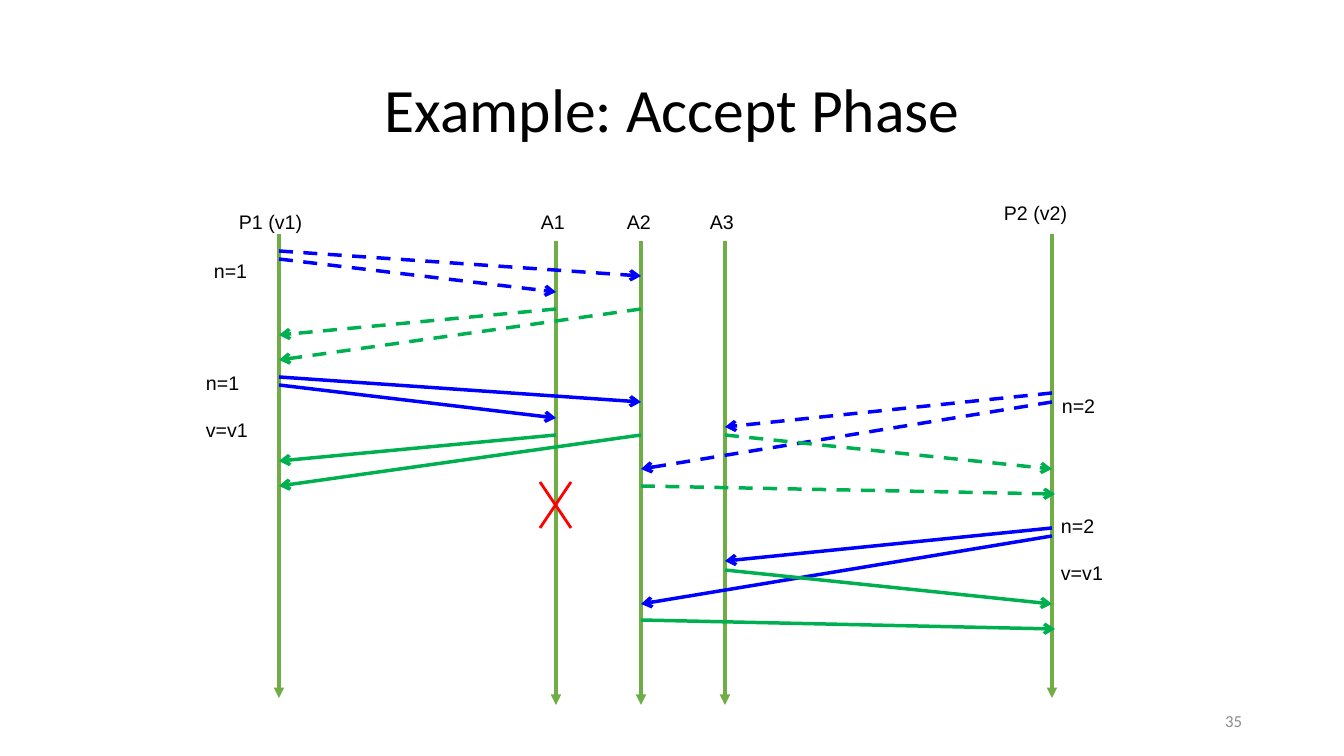
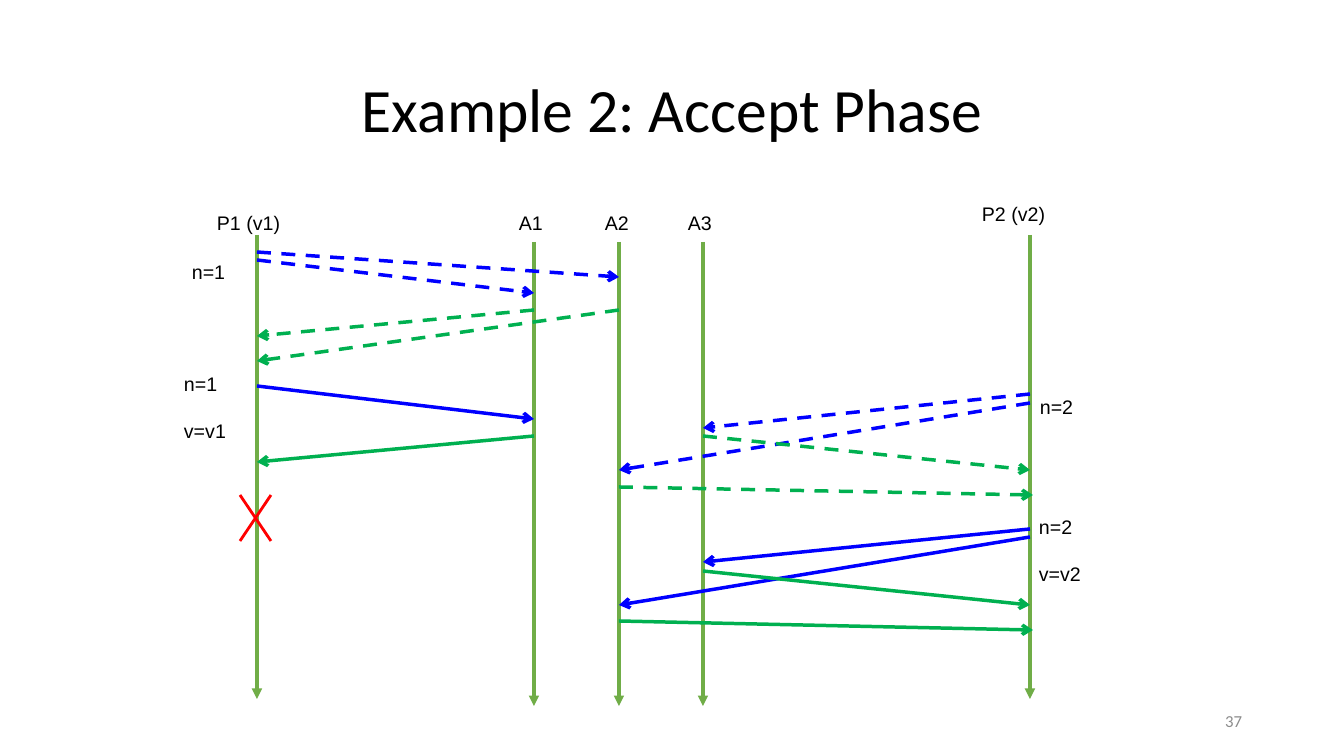
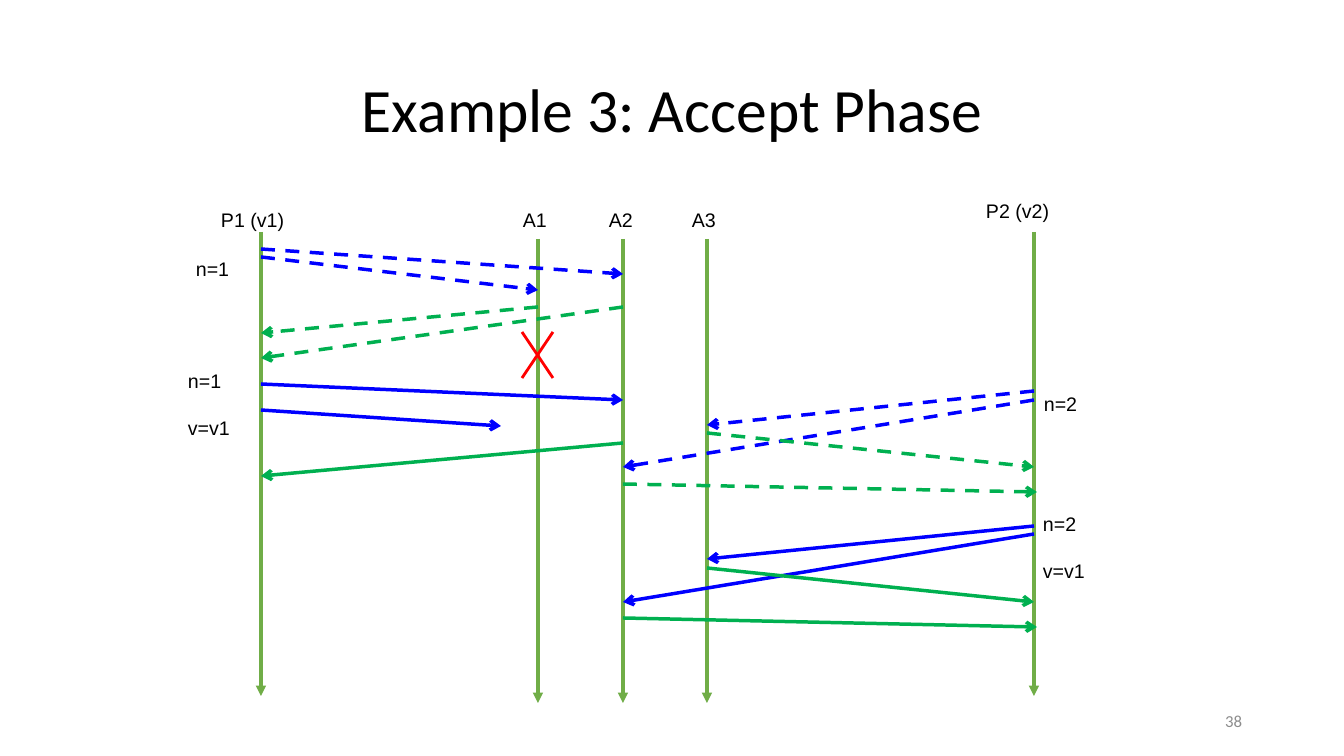
"""Build three Paxos accept-phase sequence diagrams."""
from lxml import etree
from pptx import Presentation
from pptx.dml.color import RGBColor
from pptx.enum import dml, shapes, text
from pptx.oxml.ns import qn

SCALE = 12192000 / 1344
BLACK = RGBColor(0x00, 0x00, 0x00)
GREY = RGBColor(0x8C, 0x8C, 0x8C)
LIFELINE = RGBColor(0x70, 0xAD, 0x47)
REQUEST = RGBColor(0x00, 0x00, 0xFF)
REPLY = RGBColor(0x00, 0xB0, 0x50)
CRASH = RGBColor(0xFF, 0x00, 0x00)
DASH = dml.MSO_LINE.DASH

P1, A1, A2, A3, P2 = 279, 556, 641, 725, 1052
LIFELINES = [(P1, 234), (P2, 234), (A1, 241), (A2, 241), (A3, 241)]
LIFE_LENGTH = 464
CROSS_WIDTH, CROSS_HEIGHT = 31, 46
PREPARE = [
    (P1, 251, A2, 276, REQUEST), (P1, 259, A1, 292, REQUEST),
    (A2, 309, P1, 360, REPLY), (A1, 309, P1, 335, REPLY),
    (P2, 402, A2, 469, REQUEST), (P2, 393, A3, 427, REQUEST),
    (A3, 435, P2, 469, REPLY), (A2, 486, P2 + 3, 494, REPLY),
]
ACCEPT_P2 = [
    (P2, 536, A2, 604, REQUEST), (P2, 528, A3, 561, REQUEST),
    (A3, 570, P2, 604, REPLY), (A2, 620, P2 + 3, 629, REPLY),
]
ACCEPT_A1 = [(P1, 385, A1, 418, REQUEST), (A1, 435, P1, 461, REPLY)]
LABELS = [
    (229, 184, 119, 50, "P1 (v1)"), (994, 175, 119, 50, "P2 (v2)"),
    (531, 184, 57, 51, "A1"), (617, 184, 57, 51, "A2"), (700, 184, 57, 51, "A3"),
    (204, 233, 80, 50, "n=1"), (196, 343, 91, 92, "n=1\nv=v1"),
    (1052, 368, 80, 50, "n=2"),
]
EXAMPLES = [
    {"title": "Example: Accept Phase", "number": "35", "shift": (0, 0),
     "cross": (540, 482), "chosen": "v=v1",
     "accept_p1": ACCEPT_A1 + [(P1, 377, A2, 402, REQUEST), (A2, 435, P1, 486, REPLY)]},
    {"title": "Example 2: Accept Phase", "number": "37", "shift": (-22, 1),
     "cross": (262, 494), "chosen": "v=v2", "accept_p1": ACCEPT_A1},
    {"title": "Example 3: Accept Phase", "number": "38", "shift": (-18, -2),
     "cross": (540, 334), "chosen": "v=v1",
     "accept_p1": [(P1, 386, A2, 402, REQUEST), (A2, 445, P1, 478, REPLY),
                   (P1, 412, 519, 428, REQUEST)]},
]


def px(*lengths):
    return [round(length * SCALE) for length in lengths]


def write(shape, words, font, size, color, **paragraph_format):
    frame = shape.text_frame
    frame.text = words
    frame.word_wrap = True
    for paragraph in frame.paragraphs:
        for name, value in paragraph_format.items():
            setattr(paragraph, name, value)
        for name, value in {"name": font, "size": round(size * 12700)}.items():
            setattr(paragraph.font, name, value)
        paragraph.font.color.rgb = color
    return frame


deck = Presentation()
deck.slide_width, deck.slide_height = px(1344, 756)

for example in EXAMPLES:
    slide = deck.slides.add_slide(deck.slide_layouts[5])
    dx, dy = example["shift"]

    title = slide.shapes.title
    title.left, title.top, title.width, title.height = px(93, 40, 1159, 146)
    heading = write(title, example["title"], "Calibri", 44, BLACK,
                    alignment=text.PP_ALIGN.CENTER, line_spacing=0.9)
    heading.vertical_anchor = text.MSO_ANCHOR.MIDDLE

    cross_x, cross_y = example["cross"]
    right, bottom = cross_x + CROSS_WIDTH, cross_y + CROSS_HEIGHT
    strokes = [(x, y, x, y + LIFE_LENGTH, LIFELINE, 2.5, None, "triangle")
               for x, y in LIFELINES]
    strokes += [(*message, 2.5, DASH, "arrow") for message in PREPARE]
    strokes += [(*message, 2.5, None, "arrow")
                for message in example["accept_p1"] + ACCEPT_P2]
    strokes += [(cross_x, cross_y, right, bottom, CRASH, 2, None, None),
                (right, cross_y, cross_x, bottom, CRASH, 2, None, None)]
    for x1, y1, x2, y2, color, width, dash, head in strokes:
        stroke = slide.shapes.add_connector(
            shapes.MSO_CONNECTOR.STRAIGHT, *px(x1 + dx, y1 + dy, x2 + dx, y2 + dy))
        stroke.line.color.rgb = color
        stroke.line.width = round(width * 12700)
        stroke.line.dash_style = dash
        properties = stroke.element.spPr
        if head:
            etree.SubElement(properties.find(qn("a:ln")), qn("a:tailEnd"), type=head)
        etree.SubElement(properties, qn("a:effectLst"))

    for x, y, width, height, words in LABELS + [(1051, 486, 91, 92, "n=2\n" + example["chosen"])]:
        label = slide.shapes.add_textbox(*px(x + dx, y + dy, width, height))
        frame = write(label, words, "Arial", 14, BLACK)
        frame.margin_top, frame.margin_bottom = px(28, 0)
        for following in frame.paragraphs[1:]:
            following.space_before = px(23)[0]

    number = slide.shapes.add_textbox(*px(950, 701, 302, 40))
    footer = write(number, example["number"], "Calibri", 12, GREY,
                   alignment=text.PP_ALIGN.RIGHT)
    footer.vertical_anchor = text.MSO_ANCHOR.MIDDLE

deck.save("out.pptx")
